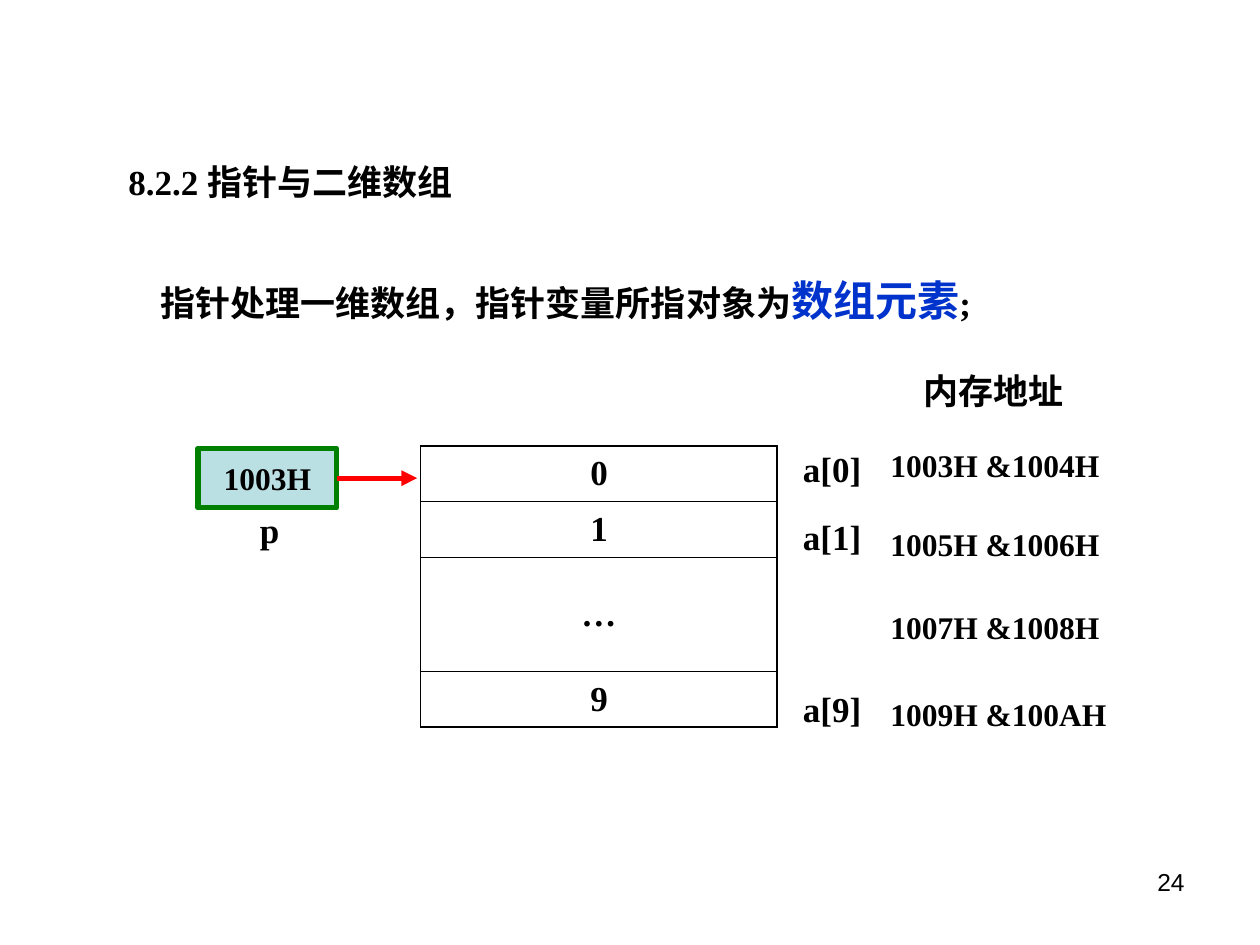
from dataclasses import dataclass, field

from lxml import etree
from pptx import Presentation
from pptx.dml.color import RGBColor
from pptx.enum import shapes, text
from pptx.oxml import ns
from pptx.util import Cm, Pt

BLACK = RGBColor(0x00, 0x00, 0x00)
BLUE = RGBColor(0x00, 0x33, 0xCC)
RED = RGBColor(0xFF, 0x00, 0x00)
GREEN = RGBColor(0x00, 0x80, 0x00)
TEAL = RGBColor(0xBB, 0xE0, 0xE3)

LEFT, MID, RIGHT = text.PP_ALIGN.LEFT, text.PP_ALIGN.CENTER, text.PP_ALIGN.RIGHT
BOLD = {"name": "Times New Roman", "size": Pt(20), "bold": True}
SMALL = BOLD | {"size": Pt(18)}
PAGE = {"name": "Arial", "size": Pt(14), "bold": False}


@dataclass
class Label:
    words: str
    x: float
    y: float
    w: float
    h: float = 1.12
    look: dict = field(default_factory=lambda: BOLD)
    align: text.PP_ALIGN = MID


@dataclass
class Row:
    words: str
    high: float


ROWS = [Row("0", 1.12), Row("1", 1.12), Row("…", 2.31), Row("9", 1.12)]
NAMES = [("a[0]", 8.89), ("a[1]", 10.26), ("a[9]", 13.74)]
CELLS = [("1003H &1004H", 8.86), ("1005H &1006H", 10.46),
         ("1007H &1008H", 12.14), ("1009H &100AH", 13.89)]
LABELS = [
    *(Label(words, 15.82, y, 1.91) for words, y in NAMES),
    *(Label(words, 17.7, y, 5.6, 1.02, SMALL, LEFT) for words, y in CELLS),
    Label("内存地址", 18.03, 7.32, 4.01),
    Label("p", 4.8, 10.13, 1.27),
    Label("24", 18.21, 17.35, 5.92, 1.32, PAGE, RIGHT),
]


def add_run(par, words: str, look: dict, color: RGBColor = BLACK) -> None:
    run = par.add_run()
    run.text = words
    for key, value in look.items():
        setattr(run.font, key, value)
    run.font.color.rgb = color


def add_box(slide, x: float, y: float, w: float, h: float):
    frame = slide.shapes.add_textbox(Cm(x), Cm(y), Cm(w), Cm(h)).text_frame
    frame.word_wrap = True
    return frame


def add_label(slide, label: Label) -> None:
    frame = add_box(slide, label.x, label.y, label.w, label.h)
    par = frame.paragraphs[0]
    par.alignment = label.align
    add_run(par, label.words, label.look)


def add_intro(slide) -> None:
    frame = add_box(slide, 2.34, 2.26, 20.52, 4.42)
    head, body = frame.paragraphs[0], frame.add_paragraph()
    head.line_spacing = body.line_spacing = 2.0
    body.space_before = Pt(12.5)
    body._p.get_or_add_pPr().set("indent", str(Cm(0.64)))
    add_run(head, "8.2.2 指针与二维数组", BOLD)
    add_run(body, "指针处理一维数组，指针变量所指对象为", BOLD)
    add_run(body, "数组元素", BOLD | {"size": Pt(24)}, BLUE)
    add_run(body, ";", BOLD)


def add_edge(cell, side: str, width: float) -> None:
    """Draw one black border of a cell; call in the order L, R, T, B."""
    props = cell._tc.get_or_add_tcPr()
    line = etree.SubElement(props, ns.qn(f"a:ln{side}"), w=str(Pt(width)))
    fill = etree.SubElement(line, ns.qn("a:solidFill"))
    etree.SubElement(fill, ns.qn("a:srgbClr"), val=str(BLACK))


def add_array(slide) -> None:
    high = sum(row.high for row in ROWS)
    table = slide.shapes.add_table(
        len(ROWS), 1, Cm(8.48), Cm(8.99), Cm(7.19), Cm(high)).table
    table.first_row = table.horz_banding = False
    thick, thin, last = 1.08, 0.45, len(ROWS) - 1
    for i, row in enumerate(ROWS):
        table.rows[i].height = Cm(row.high)
        cell = table.cell(i, 0)
        cell.vertical_anchor = text.MSO_ANCHOR.MIDDLE
        par = cell.text_frame.paragraphs[0]
        par.alignment = MID
        add_run(par, row.words, BOLD)
        edges = {"L": thick, "R": thick,
                 "T": thick if i == 0 else thin,
                 "B": thick if i == last else thin}
        for side, width in edges.items():
            add_edge(cell, side, width)
        cell.fill.background()


def add_cell(slide):
    """Add the memory cell that holds the pointer value."""
    box = slide.shapes.add_shape(
        shapes.MSO_SHAPE.RECTANGLE, Cm(3.99), Cm(9.04), Cm(2.8), Cm(1.2))
    box.shadow.inherit = False
    box.fill.solid()
    box.fill.fore_color.rgb = TEAL
    box.line.color.rgb = GREEN
    box.line.width = Pt(3)
    frame = box.text_frame
    frame.word_wrap = False
    frame.vertical_anchor = text.MSO_ANCHOR.MIDDLE
    par = frame.paragraphs[0]
    par.alignment = MID
    add_run(par, "1003H", SMALL)
    return box


def add_arrow(slide, box) -> None:
    y = box.top + box.height // 2
    arrow = slide.shapes.add_connector(
        shapes.MSO_CONNECTOR.STRAIGHT, box.left + box.width, y, Cm(8.41), y)
    arrow.begin_connect(box, 3)
    arrow.line.color.rgb = RED
    arrow.line.width = Pt(3)
    etree.SubElement(arrow.line._get_or_add_ln(), ns.qn("a:tailEnd"),
                     type="triangle")
    etree.SubElement(arrow._element.spPr, ns.qn("a:effectLst"))


def main() -> None:
    deck = Presentation()
    deck.slide_width, deck.slide_height = Cm(25.4), Cm(19.05)
    slide = deck.slides.add_slide(deck.slide_layouts[6])
    add_intro(slide)
    add_array(slide)
    for label in LABELS:
        add_label(slide, label)
    add_arrow(slide, add_cell(slide))
    deck.save("out.pptx")


if __name__ == "__main__":
    main()
